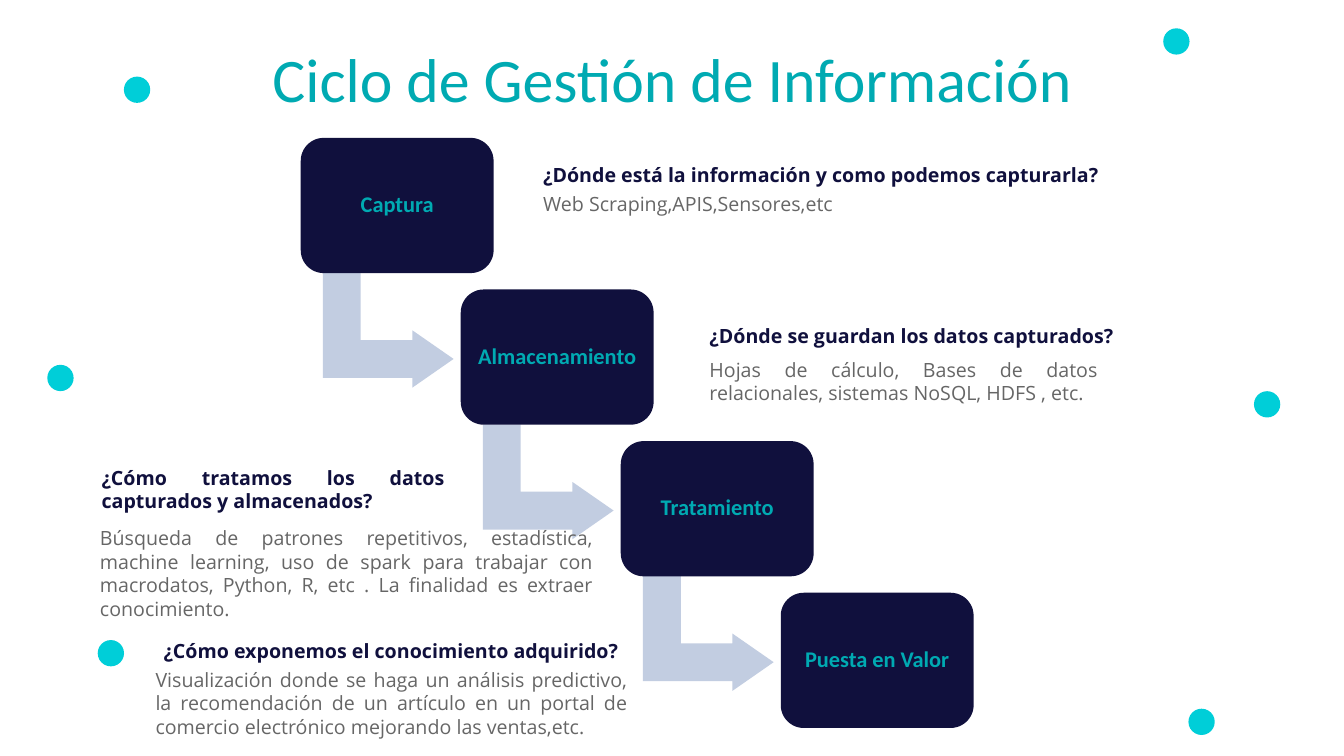
from dataclasses import dataclass

from pptx import Presentation
from pptx.dml.color import RGBColor
from pptx.enum.shapes import MSO_SHAPE
from pptx.enum.text import MSO_ANCHOR, PP_ALIGN
from pptx.shapes.autoshape import Shape
from pptx.slide import Slide
from pptx.text.text import TextFrame
from pptx.util import Pt

CYAN = RGBColor(0x00, 0xCE, 0xD8)
TEAL = RGBColor(0x00, 0xAA, 0xB2)
NAVY = RGBColor(0x10, 0x10, 0x3D)
PALE_BLUE = RGBColor(0xC2, 0xCD, 0xE1)
GRAY = RGBColor(0x66, 0x66, 0x66)

SLIDE_WIDTH, SLIDE_HEIGHT = 960, 540
DOT_SIZE = 18.8
STEP_LEFT, STEP_TOP = 214.8, 98.5
STEP_WIDTH, STEP_HEIGHT = 137.8, 96.6
STEP_SHIFT_X, STEP_SHIFT_Y = 114.3, 108.3
STEP_MARGIN = 3
ARROW_SHIFT_X, ARROW_SHIFT_Y = 21.5, 90.7
ARROW_WIDTH, ARROW_HEIGHT = 82, 93.4


@dataclass(frozen=True)
class Box:
    left: float
    top: float
    width: float
    height: float


@dataclass(frozen=True)
class TextStyle:
    font: str
    size: float
    color: RGBColor
    bold: bool
    alignment: PP_ALIGN


@dataclass(frozen=True)
class Note:
    box: Box
    text: str
    style: TextStyle


TITLE = TextStyle("Calibri", 44.2, TEAL, False, PP_ALIGN.CENTER)
STEP = TextStyle("Calibri", 16, TEAL, True, PP_ALIGN.CENTER)
QUESTION = TextStyle("Open Sans", 14, NAVY, True, PP_ALIGN.JUSTIFY)
ANSWER = TextStyle("Open Sans", 14, GRAY, False, PP_ALIGN.JUSTIFY)

DOTS = [(88.5, 54.7), (33.8, 260.6), (69.8, 457.2),
        (830.9, 20.2), (895.7, 279.4), (848.9, 506.2)]

STEPS = ["Captura", "Almacenamiento", "Tratamiento", "Puesta en Valor"]

NOTES = [
    Note(Box(380.9, 113, 418.3, 24.5),
         "¿Dónde está la información y como podemos capturarla?", QUESTION),
    Note(Box(380.9, 133.9, 291.6, 24.5),
         "Web Scraping,APIS,Sensores,etc", ANSWER),
    Note(Box(499.7, 227.5, 418.3, 24.5),
         "¿Dónde se guardan los datos capturados?", QUESTION),
    Note(Box(499.7, 252, 291.6, 41),
         "Hojas de cálculo, Bases de datos relacionales, sistemas NoSQL, "
         "HDFS , etc.", ANSWER),
    Note(Box(65.5, 329, 259.2, 41),
         "¿Cómo tratamos los datos capturados y almacenados?", QUESTION),
    Note(Box(64.3, 372.2, 366.5, 74.9),
         "Búsqueda de patrones repetitivos, estadística, machine learning, "
         "uso de spark para trabajar con macrodatos, Python, R, etc . "
         "La finalidad es extraer conocimiento.", ANSWER),
    Note(Box(109.7, 452.9, 418.3, 24.5),
         "¿Cómo exponemos el conocimiento adquirido?", QUESTION),
    Note(Box(104, 473.4, 351.4, 58.3),
         "Visualización donde se haga un análisis predictivo, la "
         "recomendación de un artículo en un portal de comercio "
         "electrónico mejorando las ventas,etc.", ANSWER),
]


def write_text(frame: TextFrame, text: str, style: TextStyle) -> None:
    frame.word_wrap = True
    paragraph = frame.paragraphs[0]
    paragraph.alignment = style.alignment
    run = paragraph.add_run()
    run.text = text
    run.font.name = style.font
    run.font.size = Pt(style.size)
    run.font.bold = style.bold
    run.font.color.rgb = style.color


def set_margins(frame: TextFrame, margin: float) -> None:
    frame.margin_left = frame.margin_right = Pt(margin)
    frame.margin_top = frame.margin_bottom = Pt(margin)


def add_filled_shape(slide: Slide, kind: MSO_SHAPE, box: Box, color: RGBColor) -> Shape:
    shape = slide.shapes.add_shape(
        kind, Pt(box.left), Pt(box.top), Pt(box.width), Pt(box.height))
    shape.shadow.inherit = False
    shape.fill.solid()
    shape.fill.fore_color.rgb = color
    shape.line.fill.background()
    return shape


def add_note(slide: Slide, note: Note) -> Shape:
    box = note.box
    shape = slide.shapes.add_textbox(
        Pt(box.left), Pt(box.top), Pt(box.width), Pt(box.height))
    write_text(shape.text_frame, note.text, note.style)
    return shape


def add_arrow(slide: Slide, step_left: float, step_top: float) -> None:
    box = Box(step_left + ARROW_SHIFT_X, step_top + ARROW_SHIFT_Y,
              ARROW_WIDTH, ARROW_HEIGHT)
    arrow = add_filled_shape(slide, MSO_SHAPE.BENT_UP_ARROW, box, PALE_BLUE)
    arrow.rotation = 90
    for index, value in enumerate((0.33, 0.25, 0.36)):
        arrow.adjustments[index] = value


def add_step(slide: Slide, index: int, label: str) -> None:
    left = STEP_LEFT + index * STEP_SHIFT_X
    top = STEP_TOP + index * STEP_SHIFT_Y
    if index < len(STEPS) - 1:
        add_arrow(slide, left, top)
    box = Box(left, top, STEP_WIDTH, STEP_HEIGHT)
    shape = add_filled_shape(slide, MSO_SHAPE.ROUNDED_RECTANGLE, box, NAVY)
    shape.adjustments[0] = 0.17
    frame = shape.text_frame
    set_margins(frame, STEP_MARGIN)
    frame.vertical_anchor = MSO_ANCHOR.MIDDLE
    write_text(frame, label, STEP)
    frame.paragraphs[0].line_spacing = 0.9


def main() -> None:
    presentation = Presentation()
    presentation.slide_width = Pt(SLIDE_WIDTH)
    presentation.slide_height = Pt(SLIDE_HEIGHT)
    slide = presentation.slides.add_slide(presentation.slide_layouts[6])

    for left, top in DOTS:
        add_filled_shape(slide, MSO_SHAPE.OVAL, Box(left, top, DOT_SIZE, DOT_SIZE), CYAN)

    title = add_note(slide, Note(Box(0, 28.8, SLIDE_WIDTH, 53.3),
                                 "Ciclo de Gestión de Información", TITLE))
    set_margins(title.text_frame, 0)

    for index, label in enumerate(STEPS):
        add_step(slide, index, label)

    for note in NOTES:
        add_note(slide, note)

    presentation.save("out.pptx")


if __name__ == "__main__":
    main()
